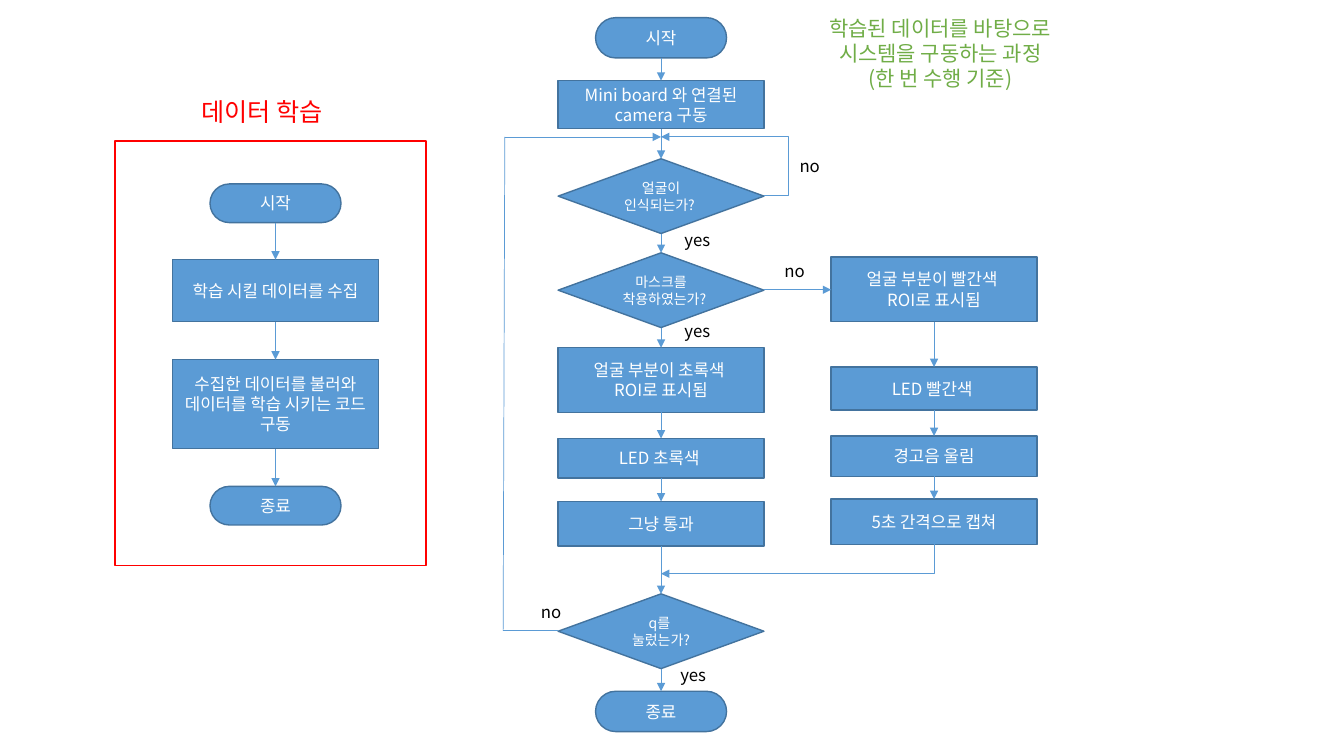
"""Build a slide with two flowcharts: data training and the mask check."""
from lxml.etree import SubElement
from pptx import Presentation
from pptx.dml.color import RGBColor
from pptx.enum.shapes import MSO_CONNECTOR as LINK, MSO_SHAPE as SHAPE
from pptx.enum.text import MSO_ANCHOR as ANCHOR, MSO_AUTO_SIZE as FIT, PP_ALIGN as ALIGN
from pptx.oxml.ns import qn
from pptx.util import Inches, Pt

COLUMNS, ROWS = 160, 90
WIDTH, HEIGHT = Inches(13.333), Inches(7.5)
FONT = "Noto Sans CJK KR"
COLORS = {"node": "5B9BD5", "edge": "43739E", "frame": "FF0000",
          "note": "70AD47", "label": "000000", "white": "FFFFFF"}
NODE_WIDTHS = {SHAPE.ROUNDED_RECTANGLE: 15.6, SHAPE.RECTANGLE: 24.5, SHAPE.DIAMOND: 24.5}
TERMINAL, STEP, DECISION = NODE_WIDTHS
LOOP_ROW = 16.3

TRAINING = (32.8, [
    (TERMINAL, "시작", 21.9, 4.6),
    (STEP, "학습 시킬 데이터를 수집", 30.9, 7.4),
    (STEP, "수집한 데이터를 불러와 데이터를 학습 시키는 코드 구동", 42.8, 10.6),
    (TERMINAL, "종료", 57.9, 4.6),
])
MASK_CHECK = (78.7, [
    (TERMINAL, "시작", 2.1, 4.8),
    (STEP, "Mini board 와 연결된 camera 구동", 9.6, 5.7),
    (DECISION, "얼굴이 인식되는가? ", 18.9, 8.9),
    (DECISION, "마스크를 착용하였는가?", 30.1, 8.9),
    (STEP, "얼굴 부분이 초록색 \nROI로 표시됨", 41.4, 7.7),
    (STEP, "LED 초록색 ", 52.2, 4.7),
    (STEP, "그냥 통과", 59.7, 5.3),
    (DECISION, "q를 \n눌렀는가?", 70.7, 8.9),
    (TERMINAL, "종료", 82.3, 4.8),
])
NO_MASK = (111.2, [
    (STEP, "얼굴 부분이 빨간색 \nROI로 표시됨", 30.6, 7.7),
    (STEP, "LED 빨간색 ", 43.7, 5.1),
    (STEP, "경고음 울림", 51.9, 4.8),
    (STEP, "5초 간격으로 캡쳐", 59.4, 5.4),
])
ANSWERS = [("no", 94, 17.9), ("yes", 80.3, 26.8), ("yes", 80.3, 37.6),
           ("no", 92.2, 30.4), ("no", 63.2, 71), ("yes", 79.8, 78.5)]


def col(count):
    """Turn grid columns into a length."""
    return round(WIDTH * count / COLUMNS)


def row(count):
    """Turn grid rows into a length."""
    return round(HEIGHT * count / ROWS)


def rgb(name):
    """Look up a colour by its role."""
    return RGBColor.from_string(COLORS[name])


def write(frame, text, size=12, color="white", align=ALIGN.CENTER, anchor=ANCHOR.MIDDLE):
    """Fill a text frame, one paragraph per line of text."""
    frame.word_wrap = True
    frame.vertical_anchor = anchor
    for index, line in enumerate(text.split("\n")):
        paragraph = frame.add_paragraph() if index else frame.paragraphs[0]
        paragraph.alignment = align
        run = paragraph.add_run()
        run.text = line
        run.font.size = Pt(size)
        run.font.color.rgb = rgb(color)
        run.font.name = FONT
        SubElement(run.font._element, qn("a:ea"), typeface=FONT)


def add_label(slide, text, left, top, width=10.9, height=3.7, **style):
    """Place free text on the grid."""
    label = slide.shapes.add_textbox(col(left), row(top), col(width), row(height))
    label.text_frame.auto_size = FIT.SHAPE_TO_FIT_TEXT
    write(label.text_frame, text, anchor=ANCHOR.TOP, **style)


def add_box(slide, kind, left, top, width, height, edge, fill=None):
    """Draw an outlined shape, hollow unless a fill is named."""
    box = slide.shapes.add_shape(kind, col(left), row(top), col(width), row(height))
    box.shadow.inherit = False
    box.line.color.rgb = rgb(edge)
    box.line.width = Pt(1)
    if fill:
        box.fill.solid()
        box.fill.fore_color.rgb = rgb(fill)
    else:
        box.fill.background()
    return box


def add_node(slide, center, kind, text, top, height):
    """Draw one flowchart node around a centre column."""
    width = NODE_WIDTHS[kind]
    node = add_box(slide, kind, center - width / 2, top, width, height, "edge", "node")
    if kind == TERMINAL:
        node.adjustments[0] = 0.5
    write(node.text_frame, text, size=10 if kind == DECISION else 12)


def add_link(slide, start, end, arrow="tailEnd", bend=None, adjust=None):
    """Join two grid points, with an arrowhead and an optional bend preset."""
    link = slide.shapes.add_connector(LINK.ELBOW if bend else LINK.STRAIGHT,
                                      col(start[0]), row(start[1]), col(end[0]), row(end[1]))
    link.line.color.rgb = rgb("node")
    link.line.width = Pt(0.5)
    properties = link.element.spPr
    SubElement(properties, qn("a:effectLst"))
    if arrow:
        SubElement(properties.find(qn("a:ln")), qn("a:" + arrow), type="triangle")
    if bend:
        geometry = properties.find(qn("a:prstGeom"))
        geometry.set("prst", bend)
        if adjust is not None:
            SubElement(geometry.find(qn("a:avLst")), qn("a:gd"), name="adj1",
                       fmla=f"val {round(adjust * 100000)}")


def add_flow(slide, center, nodes):
    """Draw a column of nodes with an arrow between neighbours."""
    for node in nodes:
        add_node(slide, center, *node)
    for (_, _, top, height), (_, _, next_top, _) in zip(nodes, nodes[1:]):
        add_link(slide, (center, top + height), (center, next_top))


def add_branches(slide):
    """Draw the links that leave the main column."""
    trunk, red = MASK_CHECK[0], NO_MASK[0]
    half = NODE_WIDTHS[DECISION] / 2
    add_link(slide, (trunk + half, 23.3), (trunk, LOOP_ROW),
             bend="bentConnector3", adjust=-0.24)
    add_link(slide, (trunk + half, 34.5), (red - half, 34.5))
    add_link(slide, (trunk, 68.3), (red, 64.8), arrow="headEnd", bend="bentConnector2")
    retry = [(trunk - half, 75.1), (59.9, 75.1), (60.1, LOOP_ROW), (trunk, LOOP_ROW)]
    for start, end in zip(retry, retry[1:]):
        add_link(slide, start, end, arrow="tailEnd" if end == retry[-1] else None)


def main():
    """Assemble and save the slide."""
    deck = Presentation()
    deck.slide_width, deck.slide_height = WIDTH, HEIGHT
    slide = deck.slides.add_slide(deck.slide_layouts[6])
    add_box(slide, STEP, 13.7, 16.8, 37, 50.5, "frame")
    add_label(slide, "데이터 학습", 22.8, 10.9, 22.2, 4.8,
              size=18, color="frame", align=ALIGN.LEFT)
    add_label(slide, "학습된 데이터를 바탕으로 시스템을 구동하는 과정\n(한 번 수행 기준)",
              95.4, 1.2, 33.1, 10.7, size=15, color="note")
    for flow in (TRAINING, MASK_CHECK, NO_MASK):
        add_flow(slide, *flow)
    add_branches(slide)
    for answer in ANSWERS:
        add_label(slide, *answer, color="label", align=ALIGN.LEFT)
    deck.save("out.pptx")


main()
